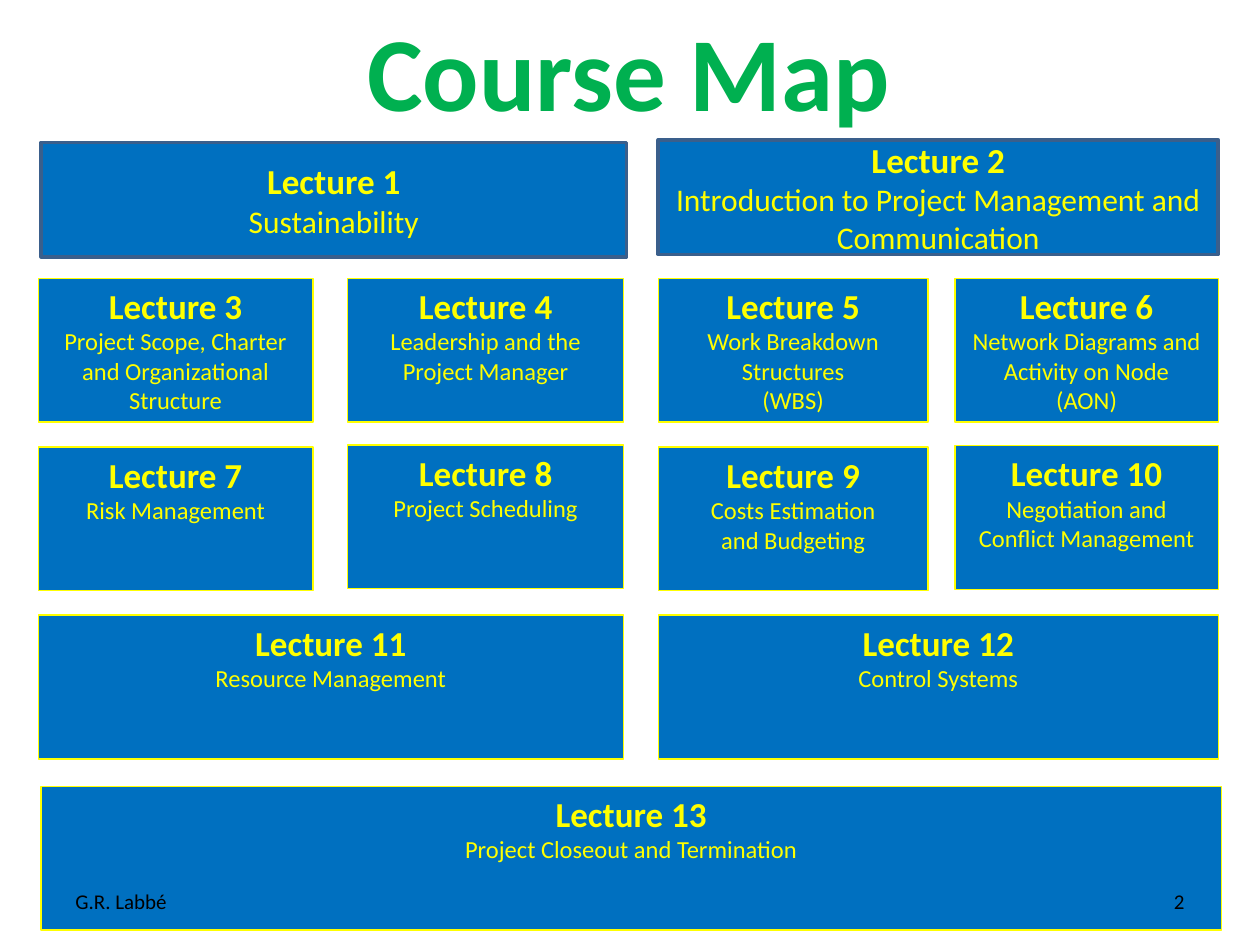
"""Build the course map slide with its thirteen lecture boxes."""
import pptx
import pptx.util
import pptx.dml.color
import pptx.enum.shapes
import pptx.enum.text

Cm, Pt = pptx.util.Cm, pptx.util.Pt
Align = pptx.enum.text.PP_ALIGN
Anchor = pptx.enum.text.MSO_ANCHOR

HUES = {"title": "00B050", "box": "0070C0", "text": "FFFF00",
        "edge": "3A5F8C", "foot": "000000"}
FONT = "Calibri"

# first column, last column, left shift, top, topic lines
BOXES = [
    (0, 1, 0.06, 2.87, ["Sustainability"]),
    (2, 3, 0, 2.82, ["Introduction to Project Management and Communication"]),
    (0, 0, 0, 5.61, ["Project Scope, Charter and Organizational Structure"]),
    (1, 1, 0, 5.61, ["Leadership and the Project Manager"]),
    (2, 2, 0, 5.61, ["Work Breakdown Structures", "(WBS)"]),
    (3, 3, 0, 5.61, ["Network Diagrams and Activity on Node", "(AON)"]),
    (0, 0, 0, 9.01, ["Risk Management"]),
    (1, 1, 0, 8.97, ["Project Scheduling"]),
    (2, 2, 0, 9.01, ["Costs Estimation", "and Budgeting"]),
    (3, 3, 0, 8.98, ["Negotiation and", "Conflict Management"]),
    (0, 1, 0, 12.4, ["Resource Management"]),
    (2, 3, 0, 12.4, ["Control Systems"]),
    (0, 3, 0.06, 15.85, ["Project Closeout and Termination"]),
]
COLS = [(0.77, 6.31), (7.01, 12.57), (13.27, 18.71), (19.25, 24.56)]
FEET = [("G.R. Labbé", 1.27, Align.LEFT), ("2", 18.21, Align.RIGHT)]


def hue(name):
    return pptx.dml.color.RGBColor.from_string(HUES[name])


def style(para, size, name, bold=False, align=Align.CENTER):
    para.alignment = align
    for run in para.runs:
        font = run.font
        font.name, font.size, font.bold = FONT, Pt(size), bold
        font.color.rgb = hue(name)


def add_box(slide, num, first, last, shift, top, lines):
    large = num <= 2
    left = COLS[first][0] + shift
    wide = COLS[last][1] + shift - left
    box = slide.shapes.add_shape(
        pptx.enum.shapes.MSO_SHAPE.RECTANGLE,
        Cm(left), Cm(top), Cm(wide), Cm(2.31 if large else 2.9))
    box.shadow.inherit = False
    box.fill.solid()
    box.fill.fore_color.rgb = hue("box")
    box.line.color.rgb = hue("edge" if large else "text")
    box.line.width = Pt(2 if large else 0.75)
    frame = box.text_frame
    frame.word_wrap = True
    frame.vertical_anchor = Anchor.MIDDLE if large else Anchor.TOP
    frame.text = "\n".join([f"Lecture {num}"] + lines)
    head, *rest = frame.paragraphs
    style(head, 20, "text", True)
    for para in rest:
        style(para, 18 if large else 14, "text")


def add_foot(slide, text, left, align):
    box = slide.shapes.add_textbox(Cm(left), Cm(17.65), Cm(5.92), Cm(1.02))
    frame = box.text_frame
    frame.word_wrap = True
    frame.vertical_anchor = Anchor.MIDDLE
    frame.text = text
    style(frame.paragraphs[0], 12, "foot", align=align)


def main():
    deck = pptx.Presentation()
    deck.slide_width, deck.slide_height = Cm(25.4), Cm(19.05)
    slide = deck.slides.add_slide(deck.slide_layouts[5])
    title = slide.shapes.title
    title.left, title.top = Cm(4.7), Cm(0)
    title.width, title.height = Cm(15.95), Cm(2.82)
    frame = title.text_frame
    frame.text = "Course Map"
    frame.auto_size = pptx.enum.text.MSO_AUTO_SIZE.NONE
    frame.vertical_anchor = Anchor.TOP
    style(frame.paragraphs[0], 60, "title", True)
    for num, box in enumerate(BOXES, 1):
        add_box(slide, num, *box)
    for foot in FEET:
        add_foot(slide, *foot)
    deck.save("out.pptx")


if __name__ == "__main__":
    main()
